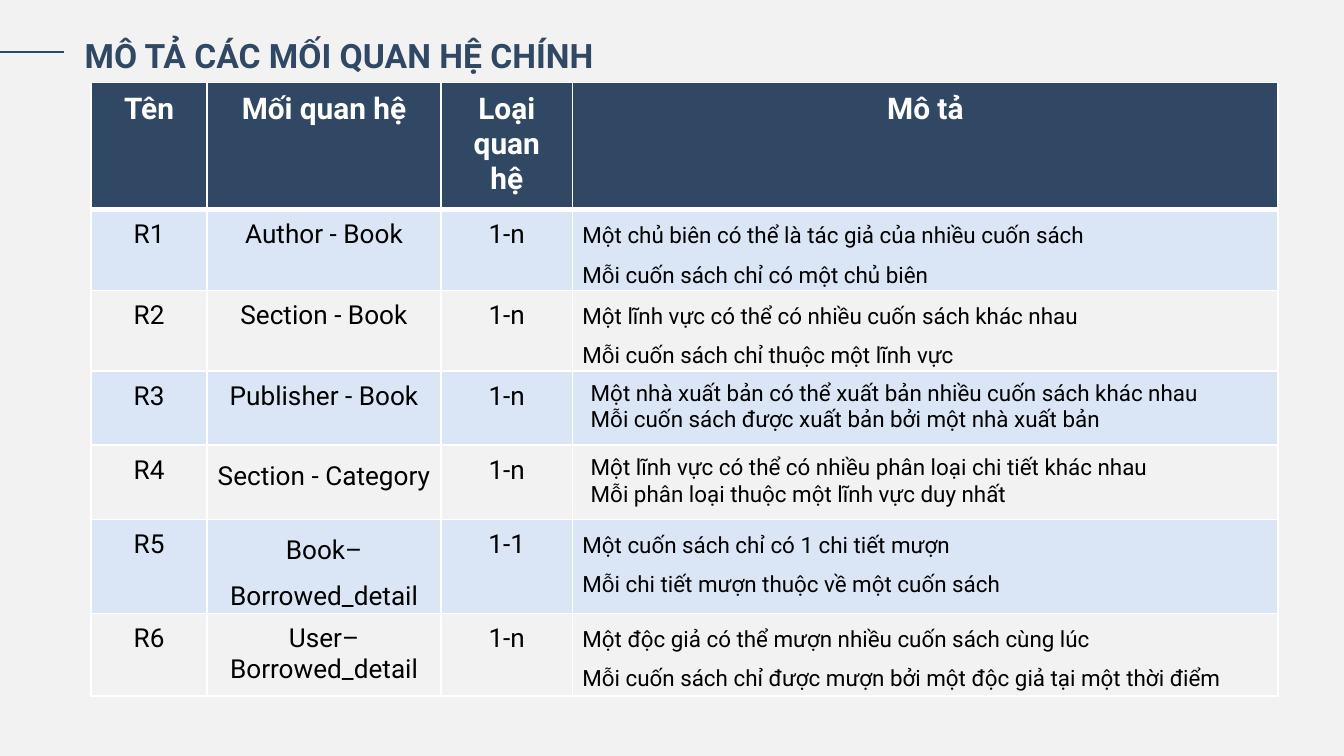
from dataclasses import dataclass

from lxml import etree
from pptx import Presentation
from pptx.dml.color import RGBColor
from pptx.enum import shapes, text
from pptx.oxml import ns
from pptx.util import Emu, Pt

PX = 9525  # 96 px to the inch


@dataclass(frozen=True)
class Theme:
    font: str = "Roboto"
    navy: str = "314865"
    paper: str = "F2F2F2"
    band: str = "DAE6F6"
    white: str = "FFFFFF"
    ink: str = "000000"
    title: int = 18
    header: int = 16
    body: int = 14
    detail: int = 12
    rule: int = 1
    header_rule: int = 3


THEME = Theme()
ALIGN = text.PP_ALIGN

ROOMY = dict(margin_left=13, margin_top=7, margin_right=13, margin_bottom=7)
TIGHT = dict(margin_left=7, margin_top=0, margin_right=7, margin_bottom=0)
CENTRED = dict(margins=ROOMY, format=dict(alignment=ALIGN.CENTER))
CENTRED_SPACED = dict(margins=TIGHT, format=dict(alignment=ALIGN.CENTER, line_spacing=1.5))
PLAIN = dict(margins=ROOMY, format=dict(alignment=ALIGN.LEFT))
JUSTIFIED = dict(margins=TIGHT, format=dict(alignment=ALIGN.JUSTIFY, line_spacing=1.5))

COLUMN_WIDTHS = (83, 167, 94, 504)
HEADER_HEIGHT, ROW_HEIGHT = 56, 53
HEADINGS = ("Tên", "Mối quan hệ", "Loại quan hệ", "Mô tả")
# name, relationship, its layout, cardinality, description, its layout
RELATIONSHIPS = (
    ("R1", "Author - Book", CENTRED, "1-n",
     ("Một chủ biên có thể là tác giả của nhiều cuốn sách",
      "Mỗi cuốn sách chỉ có một chủ biên"), JUSTIFIED),
    ("R2", "Section - Book", CENTRED, "1-n",
     ("Một lĩnh vực có thể có nhiều cuốn sách khác nhau",
      "Mỗi cuốn sách chỉ thuộc một lĩnh vực"), JUSTIFIED),
    ("R3", "Publisher - Book", CENTRED, "1-n",
     ("Một nhà xuất bản có thể xuất bản nhiều cuốn sách khác nhau",
      "Mỗi cuốn sách được xuất bản bởi một nhà xuất bản"), PLAIN),
    ("R4", "Section - Category", CENTRED_SPACED, "1-n",
     ("Một lĩnh vực có thể có nhiều phân loại chi tiết khác nhau",
      "Mỗi phân loại thuộc một lĩnh vực duy nhất"), PLAIN),
    ("R5", "Book– Borrowed_detail", CENTRED_SPACED, "1-1",
     ("Một cuốn sách chỉ có 1 chi tiết mượn",
      "Mỗi chi tiết mượn thuộc về một cuốn sách"), JUSTIFIED),
    ("R6", "User– Borrowed_detail", CENTRED, "1-n",
     ("Một độc giả có thể mượn nhiều cuốn sách cùng lúc",
      "Mỗi cuốn sách chỉ được mượn bởi một độc giả tại một thời điểm"), JUSTIFIED),
)


def px(length):
    return Emu(length * PX)


def rgb(colour):
    return RGBColor.from_string(colour)


def write(frame, lines, size, colour, bold=False, **paragraph_format):
    for i, line in enumerate(lines):
        paragraph = frame.paragraphs[0] if i == 0 else frame.add_paragraph()
        for attribute, value in paragraph_format.items():
            setattr(paragraph, attribute, value)
        run = paragraph.add_run()
        run.text = line
        for attribute, value in dict(name=THEME.font, size=Pt(size), bold=bold).items():
            setattr(run.font, attribute, value)
        run.font.color.rgb = rgb(colour)


def set_borders(cell, top, bottom):
    """Draw white borders; top and bottom are widths in points."""
    properties = cell._tc.get_or_add_tcPr()
    widths = dict(lnL=THEME.rule, lnR=THEME.rule, lnT=top, lnB=bottom)
    for position, (side, width) in enumerate(widths.items()):
        line = etree.Element(ns.qn(f"a:{side}"), w=str(Pt(width)))
        fill = etree.SubElement(line, ns.qn("a:solidFill"))
        etree.SubElement(fill, ns.qn("a:srgbClr"), val=THEME.white)
        properties.insert(position, line)


def fill_cell(cell, lines, layout, size, background, colour, bold=False,
              top=THEME.rule, bottom=THEME.rule):
    for side, margin in layout["margins"].items():
        setattr(cell, side, px(margin))
    cell.fill.solid()
    cell.fill.fore_color.rgb = rgb(background)
    set_borders(cell, top, bottom)
    write(cell.text_frame, lines, size, colour, bold, **layout["format"])


def add_heading(slide, left, top, width, height):
    """Place the title in the box, with a rule running in from the left edge."""
    rule_y = top + 17
    rule = slide.shapes.add_connector(
        shapes.MSO_CONNECTOR.STRAIGHT,
        px(left - 76), px(rule_y), px(left - 5), px(rule_y))
    rule.line.color.rgb = rgb(THEME.navy)
    rule.line.width = Pt(THEME.rule)
    etree.SubElement(rule._element.spPr, ns.qn("a:effectLst"))

    title = slide.shapes.add_textbox(px(left), px(top), px(width), px(height)).text_frame
    title.word_wrap = True
    title.auto_size = text.MSO_AUTO_SIZE.SHAPE_TO_FIT_TEXT
    write(title, ["MÔ TẢ CÁC MỐI QUAN HỆ CHÍNH"], THEME.title, THEME.navy, bold=True)


def add_relationship_table(slide, left, top):
    height = HEADER_HEIGHT + ROW_HEIGHT * len(RELATIONSHIPS)
    table = slide.shapes.add_table(
        len(RELATIONSHIPS) + 1, len(HEADINGS),
        px(left), px(top), px(sum(COLUMN_WIDTHS)), px(height)).table
    table.horz_banding = False
    for column, width in zip(table.columns, COLUMN_WIDTHS):
        column.width = px(width)
    for i, row in enumerate(table.rows):
        row.height = px(ROW_HEIGHT if i else HEADER_HEIGHT)

    for cell, heading in zip(table.rows[0].cells, HEADINGS):
        fill_cell(cell, [heading], CENTRED, THEME.header, THEME.navy, THEME.white,
                  bold=True, bottom=THEME.header_rule)
    for i, (name, pair, pair_layout, kind, details, details_layout) in enumerate(RELATIONSHIPS):
        background = THEME.paper if i % 2 else THEME.band
        top_rule = THEME.rule if i else THEME.header_rule
        contents = (
            ([name], CENTRED, THEME.body),
            ([pair], pair_layout, THEME.body),
            ([kind], CENTRED, THEME.body),
            (details, details_layout, THEME.detail),
        )
        for cell, content in zip(table.rows[i + 1].cells, contents):
            fill_cell(cell, *content, background, THEME.ink, top=top_rule)


def main():
    deck = Presentation()
    deck.slide_width, deck.slide_height = px(960), px(540)
    slide = deck.slides.add_slide(deck.slide_layouts[6])
    slide.background.fill.solid()
    slide.background.fill.fore_color.rgb = rgb(THEME.paper)
    add_heading(slide, 51, 20, 420, 38)
    add_relationship_table(slide, 65, 59)
    deck.save("out.pptx")


if __name__ == "__main__":
    main()
